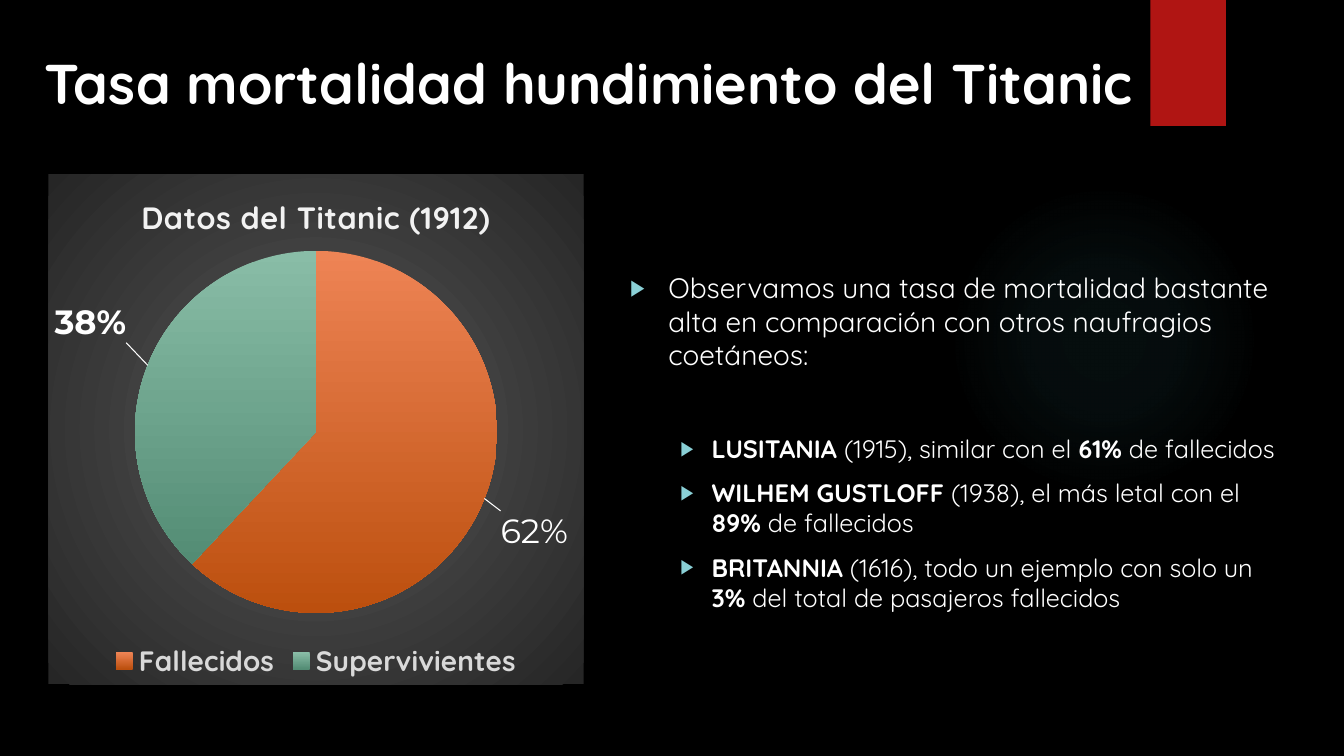
from lxml import etree
from pptx import Presentation
from pptx.chart.data import CategoryChartData
from pptx.dml.color import RGBColor
from pptx.enum.chart import XL_CHART_TYPE, XL_LABEL_POSITION, XL_LEGEND_POSITION
from pptx.enum.shapes import MSO_SHAPE
from pptx.enum.text import MSO_ANCHOR, MSO_AUTO_SIZE, PP_ALIGN
from pptx.oxml import parse_xml
from pptx.oxml.ns import qn
from pptx.util import Inches, Pt

PIE = XL_CHART_TYPE.PIE
OUTSIDE = XL_LABEL_POSITION.OUTSIDE_END
BOTTOM = XL_LEGEND_POSITION.BOTTOM
TOP, MIDDLE = MSO_ANCHOR.TOP, MSO_ANCHOR.MIDDLE
LEFT = PP_ALIGN.LEFT
NO_AUTOSIZE = MSO_AUTO_SIZE.NONE

BLACK = RGBColor(0x00, 0x00, 0x00)
WHITE = RGBColor(0xFF, 0xFF, 0xFF)
RED = RGBColor(0xB0, 0x15, 0x13)
AQUA = RGBColor(0x8A, 0xD0, 0xD6)
TEAL = RGBColor(0x50, 0xB9, 0xC1)
PALE = RGBColor(0xF2, 0xF2, 0xF2)
SILVER = RGBColor(0xD9, 0xD9, 0xD9)
GREY = RGBColor(0x59, 0x59, 0x59)
CHARCOAL = RGBColor(0x26, 0x26, 0x26)
FONT, LABEL_FONT = "Quicksand", "Montserrat"
NAMESPACES = ('xmlns:a="http://schemas.openxmlformats.org/drawingml/2006/main" '
              'xmlns:c="http://schemas.openxmlformats.org/drawingml/2006/chart"')

# Content
TITLE = "Tasa mortalidad hundimiento del Titanic"
CHART_TITLE = "Datos del Titanic (1912)"
# category, value, gradient, bold label, label offset
SLICES = [
    ("Fallecidos", 0.62, (RGBColor(0xEE, 0x84, 0x55), RGBColor(0xBC, 0x4F, 0x0E)),
     False, (0.02, 0.02)),
    ("Supervivientes", 0.38, (RGBColor(0x89, 0xBD, 0xA7), RGBColor(0x53, 0x8C, 0x74)),
     True, (-0.03, -0.04)),
]
PLOT_AREA = {"x": 0.16, "y": 0.15, "w": 0.68, "h": 0.71}
# level, space before, runs of (text, bold)
BULLETS = [
    (0, 0, [("Observamos una tasa de mortalidad bastante alta en comparación "
             "con otros naufragios coetáneos:", False)]),
    (1, 44, [("LUSITANIA ", True), ("(1915), similar con el ", False),
             ("61%", True), (" de fallecidos", False)]),
    (1, 10, [("WILHEM GUSTLOFF ", True), ("(1938), el más letal con el ", False),
             ("89% ", True), ("de fallecidos", False)]),
    (1, 10, [("BRITANNIA", True), (" (1616), todo un ejemplo con solo un ", False),
             ("3% ", True), ("del total de pasajeros fallecidos", False)]),
]
# size, left margin, hanging indent for each level
LEVELS = [(20, 0.38, 0.38), (18, 0.81, 0.31)]


def style(font, size, color=WHITE, bold=False, name=FONT):
    font.size, font.bold, font.name = Pt(size), bold, name
    font.color.rgb = color


def radial_fill(stops):
    """Circular gradient from (position %, colour, opacity %) stops."""
    marks = "".join(
        f'<a:gs pos="{position * 1000}"><a:srgbClr val="{color}">'
        f'<a:alpha val="{opacity * 1000}"/></a:srgbClr></a:gs>'
        for position, color, opacity in stops)
    return parse_xml(
        f'<a:gradFill {NAMESPACES} rotWithShape="1"><a:gsLst>{marks}</a:gsLst>'
        '<a:path path="circle"><a:fillToRect l="50000" t="50000" r="50000" '
        'b="50000"/></a:path></a:gradFill>')


def manual_layout(values, inner=False):
    target = '<c:layoutTarget val="inner"/>' if inner else ""
    modes = '<c:xMode val="edge"/><c:yMode val="edge"/>' if inner else ""
    numbers = "".join(f'<c:{key} val="{value}"/>' for key, value in values.items())
    return parse_xml(f'<c:layout {NAMESPACES}><c:manualLayout>{target}{modes}{numbers}'
                     '</c:manualLayout></c:layout>')


def add_bullet(paragraph, margin, hanging):
    properties = paragraph._p.get_or_add_pPr()
    properties.set("marL", str(Inches(margin)))
    properties.set("indent", str(-Inches(hanging)))
    color = etree.SubElement(properties, qn("a:buClr"))
    etree.SubElement(color, qn("a:srgbClr")).set("val", str(AQUA))
    etree.SubElement(properties, qn("a:buSzPct")).set("val", "80000")
    etree.SubElement(properties, qn("a:buFont")).set("typeface", "Arial")
    etree.SubElement(properties, qn("a:buChar")).set("char", "▶")


def add_decoration(slide):
    glow = slide.shapes.add_shape(MSO_SHAPE.OVAL, Inches(9.41), Inches(1.83),
                                  Inches(3.08), Inches(3.08))
    ribbon = slide.shapes.add_shape(MSO_SHAPE.RECTANGLE, Inches(11.41), 0,
                                    Inches(0.75), Inches(1.25))
    for shape in (glow, ribbon):
        shape.shadow.inherit = False
        shape.line.fill.background()
    ribbon.fill.solid()
    ribbon.fill.fore_color.rgb = RED
    geometry = glow._element.spPr.find(qn("a:prstGeom"))
    geometry.addnext(radial_fill([(0, TEAL, 7), (36, TEAL, 6), (69, TEAL, 0)]))


def add_title(slide):
    title = slide.shapes.title
    title.left, title.top = Inches(0.34), Inches(0.43)
    title.width, title.height = Inches(11.03), Inches(0.77)
    frame = title.text_frame
    frame.word_wrap, frame.auto_size = False, NO_AUTOSIZE
    frame.vertical_anchor = TOP
    paragraph = frame.paragraphs[0]
    paragraph.alignment = LEFT
    run = paragraph.add_run()
    run.text = TITLE
    style(run.font, 40, bold=True)


def add_body(slide):
    body = slide.shapes.add_textbox(Inches(6.15), Inches(2.17), Inches(6.71), Inches(4.42))
    frame = body.text_frame
    frame.word_wrap, frame.vertical_anchor = True, MIDDLE
    for index, (level, space, runs) in enumerate(BULLETS):
        paragraph = frame.paragraphs[0] if index == 0 else frame.add_paragraph()
        size, margin, hanging = LEVELS[level]
        paragraph.level = level
        paragraph.space_before = Pt(space)
        add_bullet(paragraph, margin, hanging)
        for text, bold in runs:
            run = paragraph.add_run()
            run.text = text
            style(run.font, size, bold=bold)


def add_pie(slide):
    data = CategoryChartData(number_format="0%")
    data.categories = [entry[0] for entry in SLICES]
    data.add_series("Series 1", [entry[1] for entry in SLICES])
    chart = slide.shapes.add_chart(PIE, Inches(0.48), Inches(1.73), Inches(5.31),
                                   Inches(5.06), data).chart
    style(chart.font, 10)

    # Chart background and plot position
    background = parse_xml(f'<c:spPr {NAMESPACES}><a:ln><a:noFill/></a:ln></c:spPr>')
    background.insert(0, radial_fill([(0, GREY, 100), (100, CHARCOAL, 100)]))
    chart._chartSpace.chart.addnext(background)
    plot_area = chart._chartSpace.chart.plotArea
    for layout in plot_area.findall(qn("c:layout")):
        plot_area.remove(layout)
    plot_area.insert(0, manual_layout(PLOT_AREA, inner=True))

    # Title and legend
    chart.has_title = True
    run = chart.chart_title.text_frame.paragraphs[0].add_run()
    run.text = CHART_TITLE
    style(run.font, 22, PALE, bold=True)
    run.font._element.set("spc", "50")
    chart.has_legend = True
    chart.legend.position = BOTTOM
    chart.legend.include_in_layout = False
    style(chart.legend.font, 20, SILVER, bold=True)

    # Slices and their labels
    plot = chart.plots[0]
    plot.vary_by_categories = True
    series = plot.series[0]
    labels = series.data_labels
    labels.show_value = True
    labels.number_format, labels.number_format_is_linked = "0%", False
    labels.position = OUTSIDE
    style(labels.font, 24, bold=True, name=LABEL_FONT)
    for index, (_, _, colors, bold, (shift_x, shift_y)) in enumerate(SLICES):
        point = series.points[index]
        fill = point.format.fill
        fill.gradient()
        fill.gradient_angle = 270
        for stop, color in zip(fill.gradient_stops, colors):
            stop.color.rgb = color
        point.format.line.fill.background()
        label = point.data_label
        style(label.font, 24, bold=bold, name=LABEL_FONT)
        label.position = OUTSIDE
        element = labels._element.findall(qn("c:dLbl"))[index]
        element.find(qn("c:idx")).addnext(manual_layout({"x": shift_x, "y": shift_y}))
    for old in labels._element.findall(qn("c:showLeaderLines")):
        labels._element.remove(old)
    etree.SubElement(labels._element, qn("c:showLeaderLines")).set("val", "1")
    labels._element.append(parse_xml(
        f'<c:leaderLines {NAMESPACES}><c:spPr><a:ln w="9525"><a:solidFill>'
        f'<a:srgbClr val="{WHITE}"/></a:solidFill></a:ln></c:spPr></c:leaderLines>'))


def main():
    presentation = Presentation()
    presentation.slide_width, presentation.slide_height = Inches(13.33), Inches(7.5)
    slide = presentation.slides.add_slide(presentation.slide_layouts[5])
    slide.background.fill.solid()
    slide.background.fill.fore_color.rgb = BLACK
    add_decoration(slide)
    add_body(slide)
    add_pie(slide)
    add_title(slide)
    presentation.save("out.pptx")


if __name__ == "__main__":
    main()
